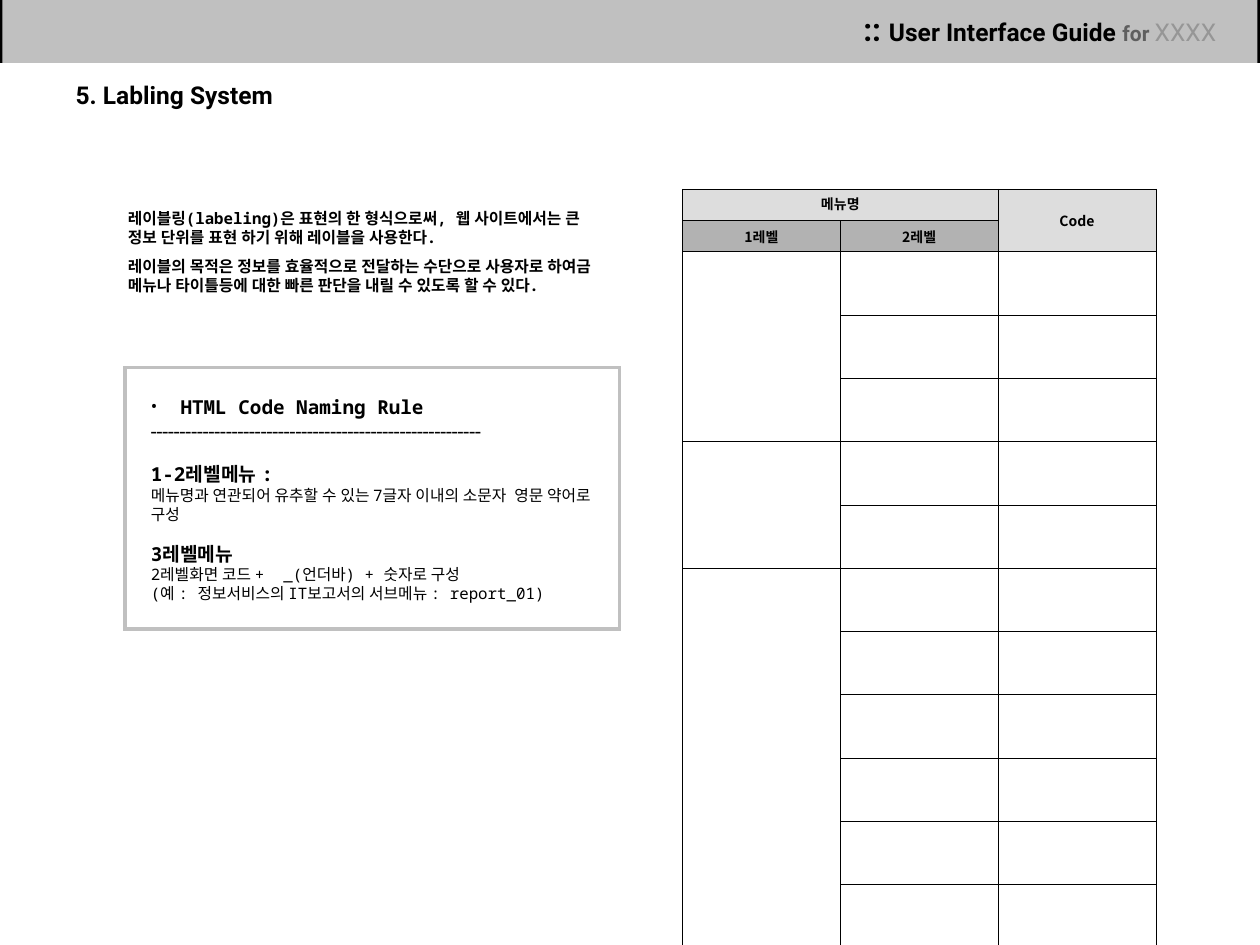
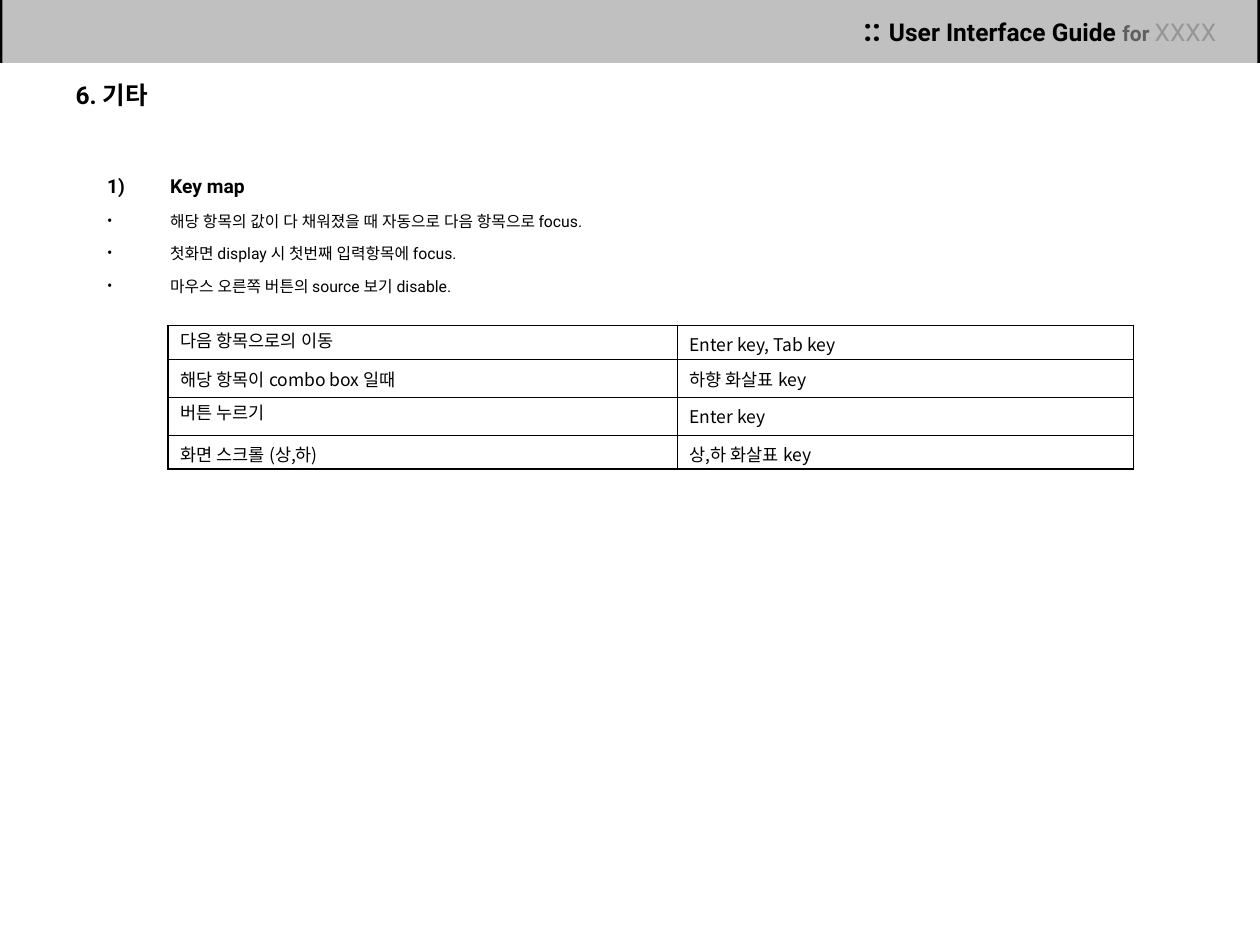
from itertools import product
from pptx import Presentation
from pptx.dml.color import RGBColor
from pptx.enum.shapes import MSO_SHAPE
from pptx.enum.text import MSO_ANCHOR, MSO_AUTO_SIZE, PP_ALIGN
from pptx.oxml.ns import qn
from pptx.util import Cm, Pt
from lxml.etree import SubElement

COLORS = {
    "black": "000000", "band": "C0C0C0", "dark": "5F5F5F", "pale": "969696",
    "head": "DDDDDD", "level": "B2B2B2",
}
ROBOTO, MONO, CJK = "Roboto", "Noto Sans Mono", "Noto Sans CJK KR"


def rgb(name):
    return RGBColor.from_string(COLORS[name])


# Text
def write(frame, text, size=9, bold=False, color="black", font=ROBOTO,
          align=PP_ALIGN.LEFT, before=0, to=None):
    """Add a paragraph to the frame, or a run to the paragraph `to`."""
    para = to
    if para is None:
        para = frame.paragraphs[0]
        if para.runs:
            para = frame.add_paragraph()
        para.alignment, para.space_before = align, Pt(before)
    run = para.add_run()
    run.text = text
    run.font.size, run.font.bold, run.font.name = Pt(size), bold, font
    run.font.color.rgb = rgb(color)
    SubElement(run.font._element, qn("a:ea"), typeface=ROBOTO)
    return para


def bullet(para, indent, mark="•"):
    props = para._p.get_or_add_pPr()
    props.set("marL", str(Cm(indent)))
    props.set("indent", str(-Cm(indent)))
    SubElement(props, qn("a:buFont"), typeface=ROBOTO)
    if mark == "•":
        SubElement(props, qn("a:buChar"), char=mark)
    else:
        SubElement(props, qn("a:buAutoNum"), type=mark)


def setup(frame):
    frame.word_wrap = True
    frame.auto_size = MSO_AUTO_SIZE.NONE
    frame.vertical_anchor = MSO_ANCHOR.TOP
    return frame


def textbox(slide, *place):
    return slide.shapes.add_textbox(*map(Cm, place))


# Shapes
def rect(slide, *place, fill=None, line=None, width=1):
    shape = slide.shapes.add_shape(MSO_SHAPE.RECTANGLE, *map(Cm, place))
    shape.shadow.inherit = False
    if fill:
        shape.fill.solid()
        shape.fill.fore_color.rgb = rgb(fill)
    else:
        shape.fill.background()
    if line:
        shape.line.color.rgb = rgb(line)
        shape.line.width = Pt(width)
        edge = shape.element.spPr.find(qn("a:ln"))
        SubElement(edge, qn("a:miter"), lim="800000")
    else:
        shape.line.fill.background()
    return shape


# Tables
def grid(slide, left, top, widths, heights):
    frame = slide.shapes.add_table(
        len(heights), len(widths), Cm(left), Cm(top),
        Cm(sum(widths)), Cm(sum(heights)))
    table = frame.table
    table.first_row = table.horz_banding = False
    for col, width in zip(table.columns, widths):
        col.width = Cm(width)
    for row, height in zip(table.rows, heights):
        row.height = Cm(height)
    return table


def paint(cell, fill=None):
    if fill:
        cell.fill.solid()
        cell.fill.fore_color.rgb = rgb(fill)
    else:
        cell.fill.background()


def border(cell, left, top, right, bottom):
    props = cell._tc.get_or_add_tcPr()
    sides = {"L": left, "R": right, "T": top, "B": bottom}
    for spot, (side, width) in enumerate(sides.items()):
        line = SubElement(props, qn("a:ln" + side), w=str(Pt(width)))
        solid = SubElement(line, qn("a:solidFill"))
        SubElement(solid, qn("a:srgbClr"), val=COLORS["black"])
        props.insert(spot, line)


# Shared header band, placed on the layout
def header(slide, layout):
    back = rect(slide, 0, 0, 25.4, 1.27, fill="black")
    band = rect(slide, 0.05, 0, 25.3, 1.27, fill="band")
    label = textbox(slide, 11.87, 0.08, 12.9, 1.02)
    frame = setup(label.text_frame)
    para = write(frame, ":: ", size=18, bold=True, align=PP_ALIGN.RIGHT)
    write(frame, "User Interface Guide ", size=14, bold=True, to=para)
    write(frame, "for ", size=12, bold=True, color="dark", to=para)
    write(frame, "XXXX", size=14, color="pale", to=para)
    for shape in (back, band, label):
        layout.shapes.element.append(shape.element)


def title(slide, text):
    shape = slide.shapes.title
    shape.left, shape.top = Cm(1.27), Cm(1.49)
    shape.width, shape.height = Cm(16.71), Cm(0.86)
    write(setup(shape.text_frame), text, size=14, bold=True)


# Slide parts
def intro(slide):
    frame = setup(textbox(slide, 2.33, 4.09, 10.16, 1.98).text_frame)
    for text in (
        "레이블링(labeling)은 표현의 한 형식으로써, 웹 사이트에서는 큰 정보 단위를 "
        "표현 하기 위해 레이블을 사용한다.",
        "레이블의 목적은 정보를 효율적으로 전달하는 수단으로 사용자로 하여금 메뉴나 "
        "타이틀등에 대한 빠른 판단을 내릴 수 있도록 할 수 있다.",
    ):
        write(frame, text, bold=True, font=MONO, before=5.6)


def rules(slide):
    rect(slide, 2.53, 7.41, 9.96, 5.28, line="band", width=2.25)
    frame = setup(textbox(slide, 2.79, 7.84, 9.7, 4.47).text_frame)
    head = {"size": 11, "bold": True, "font": MONO}
    bullet(write(frame, "HTML Code Naming Rule", **head), 0.6)
    write(frame, "-" * 57, size=12)
    write(frame, "1-2레벨메뉴 :", before=11, **head)
    write(frame, "메뉴명과 연관되어 유추할 수 있는 7글자 이내의 소문자  영문 약어로 구성",
          font=MONO)
    write(frame, "3레벨메뉴", before=10.5, **head)
    write(frame, "2레벨화면 코드 +  _(언더바) + 숫자로 구성", font=MONO)
    write(frame, "(예 : 정보서비스의 IT보고서의 서브메뉴 : report_01)", font=MONO)


def menu(slide):
    groups = (3, 2, 8, 6, 1)
    rows = 2 + sum(groups)
    table = grid(slide, 13.76, 3.81, [3.18] * 3,
                 [0.63] * 2 + [0.61] * sum(groups))
    for row, col in product(range(rows), range(3)):
        cell = table.cell(row, col)
        paint(cell)
        border(cell, *[0.23] * 4)
        cell.margin_top = cell.margin_bottom = Cm(0.25 if row > 1 else 0.08)

    # Merged cells
    table.cell(0, 0).merge(table.cell(0, 1))
    table.cell(0, 2).merge(table.cell(1, 2))
    start = 2
    for count in groups:
        if count > 1:
            table.cell(start, 0).merge(table.cell(start + count - 1, 0))
        start += count

    # Column heads
    for row, col, text, fill in (
        (0, 0, "메뉴명", "head"), (0, 2, "Code", "head"),
        (1, 0, "1레벨", "level"), (1, 1, "2레벨", "level"),
    ):
        cell = table.cell(row, col)
        paint(cell, fill)
        cell.vertical_anchor = MSO_ANCHOR.MIDDLE
        write(cell.text_frame, text, size=8, bold=True, font=CJK,
              align=PP_ALIGN.CENTER, before=2)


def notes(slide):
    frame = setup(textbox(slide, 1.91, 3.39, 19.25, 2.72).text_frame)
    para = write(frame, "Key map", size=11, bold=True, before=9.6)
    bullet(para, 1.27, "arabicParenR")
    for text in (
        "해당 항목의 값이 다 채워졌을 때 자동으로 다음 항목으로 focus.",
        "첫화면 display 시 첫번째 입력항목에 focus.",
        "마우스 오른쪽 버튼의 source 보기 disable.",
    ):
        bullet(write(frame, text, before=7.9), 1.27)


def keys(slide):
    data = (
        ("다음 항목으로의 이동", "Enter key, Tab key"),
        ("해당 항목이 combo box 일때", "하향 화살표 key"),
        ("버튼 누르기", "Enter key"),
        ("화면 스크롤 (상,하)", "상,하 화살표 key"),
    )
    table = grid(slide, 3.39, 6.56, (10.26, 9.2), (0.69, 0.76, 0.76, 0.69))
    thick, thin = 1.08, 0.45
    for row, texts in enumerate(data):
        for col, text in enumerate(texts):
            cell = table.cell(row, col)
            paint(cell)
            cell.margin_bottom = 0
            outer = (col == 0, row == 0, col == 1, row == len(data) - 1)
            border(cell, *[thick if edge else thin for edge in outer])
            write(cell.text_frame, text, size=10, font=CJK, before=2.5)


def main():
    deck = Presentation()
    deck.slide_width, deck.slide_height = Cm(25.4), Cm(19.05)
    layout = deck.slide_layouts[5]

    # Labelling
    label = deck.slides.add_slide(layout)
    header(label, layout)
    title(label, "5. Labling System")
    intro(label)
    menu(label)
    rules(label)

    # Other rules
    other = deck.slides.add_slide(layout)
    title(other, "6. 기타")
    notes(other)
    keys(other)

    deck.save("out.pptx")


if __name__ == "__main__":
    main()
